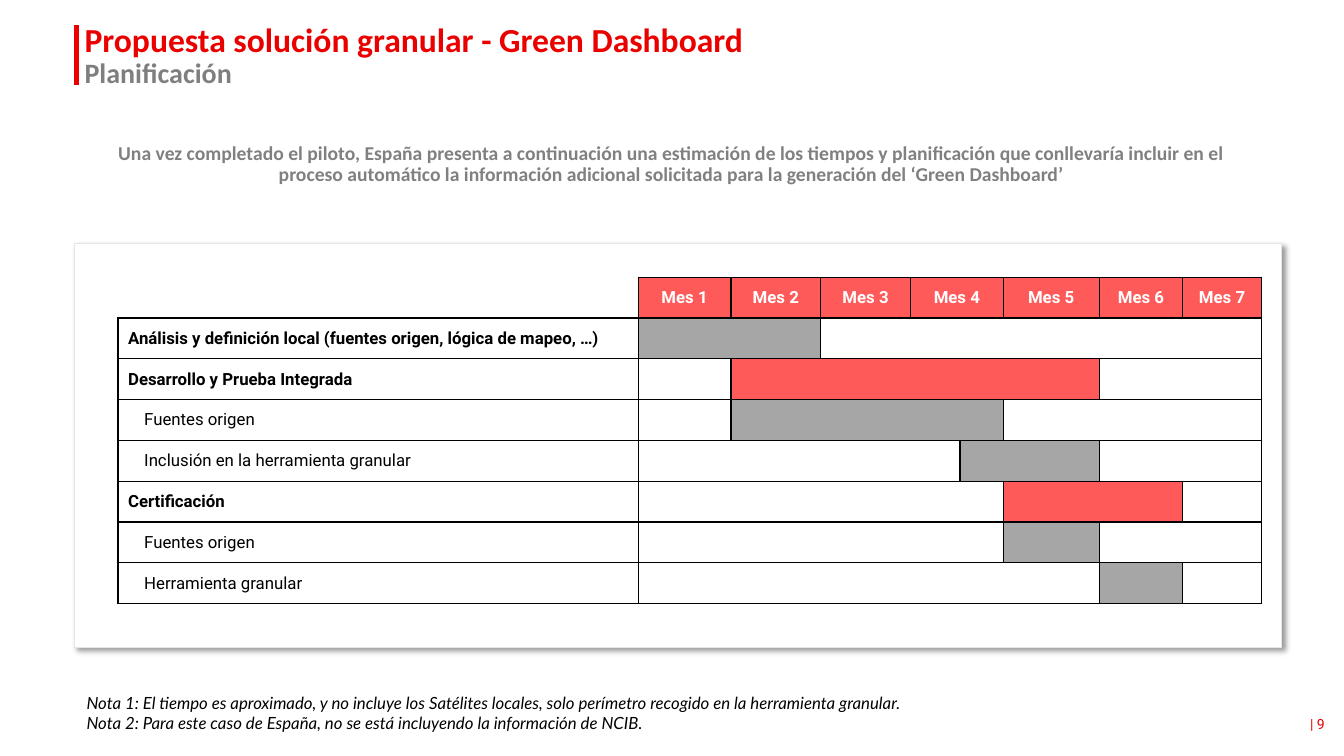
from dataclasses import dataclass
from typing import Optional

from lxml.etree import SubElement
from pptx import Presentation
from pptx.dml.color import RGBColor
from pptx.enum.shapes import MSO_CONNECTOR, MSO_SHAPE
from pptx.enum.text import MSO_ANCHOR, PP_ALIGN
from pptx.oxml.ns import qn
from pptx.util import Inches, Pt


@dataclass(frozen=True)
class Theme:
    red: str = "EB0000"
    coral: str = "FF5A5A"
    bar: str = "A6A6A6"
    grey: str = "808080"
    subtitle: str = "7F7F7F"
    edge: str = "E7E6E6"
    white: str = "FFFFFF"
    black: str = "000000"
    heading_font: str = "Calibri"
    table_font: str = "Roboto"
    note_font: str = "Lato"
    title_size: int = 24
    subtitle_size: int = 20
    intro_size: int = 14
    body_size: int = 12
    page_size: int = 10


@dataclass(frozen=True)
class Box:
    left: float
    top: float
    width: float
    height: float


@dataclass(frozen=True)
class Style:
    font: str
    size: int
    color: str
    bold: bool = False
    italic: bool = False


@dataclass(frozen=True)
class Span:
    first: int
    last: int
    fill: Optional[str] = None
    text: str = ""


@dataclass(frozen=True)
class Task:
    name: str
    spans: tuple[Span, ...]
    sub: bool = False


T = Theme()
WIDTH, HEIGHT = Inches(13.33), Inches(7.5)
COLUMNS = (38.71, 6.9, 6.68, 6.68, 3.68, 3.23, 7.13, 6.23, 5.85)
ROW = 5.4
MONTHS = ((1, 1), (2, 2), (3, 3), (4, 5), (6, 6), (7, 7), (8, 8))
TASKS = (
    Task("Análisis y definición local (fuentes origen, lógica de mapeo, …)",
         (Span(1, 2, T.bar), Span(3, 8))),
    Task("Desarrollo y Prueba Integrada",
         (Span(1, 1), Span(2, 6, T.coral), Span(7, 8))),
    Task("Fuentes origen", (Span(1, 1), Span(2, 5, T.bar), Span(6, 8)), True),
    Task("Inclusión en la herramienta granular",
         (Span(1, 4), Span(5, 6, T.bar), Span(7, 8)), True),
    Task("Certificación", (Span(1, 5), Span(6, 7, T.coral), Span(8, 8))),
    Task("Fuentes origen", (Span(1, 5), Span(6, 6, T.bar), Span(7, 8)), True),
    Task("Herramienta granular",
         (Span(1, 6), Span(7, 7, T.bar), Span(8, 8)), True),
)


def x(share: float) -> int:
    return round(WIDTH * share / 100)


def y(share: float) -> int:
    return round(HEIGHT * share / 100)


def place(box: Box) -> tuple[int, int, int, int]:
    return x(box.left), y(box.top), x(box.width), y(box.height)


def rgb(color: str) -> RGBColor:
    return RGBColor.from_string(color)


def add_run(p, text: str, style: Style) -> None:
    r = p.add_run()
    r.text = text
    r.font.name = style.font
    r.font.size = Pt(style.size)
    r.font.bold = style.bold
    r.font.italic = style.italic
    r.font.color.rgb = rgb(style.color)


def add_text(s, box: Box, paragraphs, align=PP_ALIGN.LEFT, spacing: float = 1.0,
             inset: bool = True, anchor=MSO_ANCHOR.TOP) -> None:
    tf = s.shapes.add_textbox(*place(box)).text_frame
    tf.word_wrap = True
    tf.vertical_anchor = anchor
    if not inset:
        tf.margin_left = tf.margin_right = tf.margin_top = tf.margin_bottom = 0
    for i, lines in enumerate(paragraphs):
        p = tf.add_paragraph() if i else tf.paragraphs[0]
        p.alignment = align
        p.line_spacing = spacing
        for j, (text, style) in enumerate(lines):
            if j:
                p.add_line_break()
            add_run(p, text, style)


def add_card(s, box: Box) -> None:
    sp = s.shapes.add_shape(MSO_SHAPE.RECTANGLE, *place(box))
    sp.fill.solid()
    sp.fill.fore_color.rgb = rgb(T.white)
    sp.line.color.rgb = rgb(T.edge)
    sp.line.width = Pt(0.75)
    sp.shadow.inherit = False
    effects = sp.element.spPr.find(qn("a:effectLst"))
    shadow = SubElement(effects, qn("a:outerShdw"), blurRad=str(Pt(4)),
                        dist=str(Pt(3)), dir=str(45 * 60000), algn="tl", rotWithShape="0")
    color = SubElement(shadow, qn("a:srgbClr"), val=T.black)
    SubElement(color, qn("a:alpha"), val="40000")


def add_title_rule(s, left: float, top: float, bottom: float) -> None:
    line = s.shapes.add_connector(MSO_CONNECTOR.STRAIGHT, x(left), y(top), x(left), y(bottom))
    line.line.color.rgb = rgb(T.red)
    line.line.width = Pt(3)
    SubElement(line.element.spPr, qn("a:effectLst"))


def format_cell(cell, fill: Optional[str], hidden: str = "") -> None:
    cell.vertical_anchor = MSO_ANCHOR.MIDDLE
    cell.margin_top = cell.margin_bottom = 0
    tcPr = cell._tc.get_or_add_tcPr()
    for side in "LRTB":
        ln = SubElement(tcPr, qn(f"a:ln{side}"), w=str(Pt(1)))
        if side in hidden:
            SubElement(ln, qn("a:noFill"))
        else:
            SubElement(SubElement(ln, qn("a:solidFill")), qn("a:srgbClr"), val=T.black)
    if fill:
        cell.fill.solid()
        cell.fill.fore_color.rgb = rgb(fill)
    else:
        cell.fill.background()


def fill_spans(table, row: int, spans: tuple[Span, ...], style: Style) -> None:
    for span in spans:
        for col in range(span.first, span.last + 1):
            format_cell(table.cell(row, col), span.fill)
        cell = table.cell(row, span.first)
        if span.last > span.first:
            cell.merge(table.cell(row, span.last))
        if span.text:
            p = cell.text_frame.paragraphs[0]
            p.alignment = PP_ALIGN.CENTER
            add_run(p, span.text, style)


def add_plan(s, left: float, top: float) -> None:
    rows = len(TASKS) + 1
    box = Box(left, top, sum(COLUMNS), ROW * rows)
    table = s.shapes.add_table(rows, len(COLUMNS), *place(box)).table
    table.first_row = table.horz_banding = False
    for column, share in zip(table.columns, COLUMNS):
        column.width = x(share)
    for row in table.rows:
        row.height = y(ROW)
    header = Style(T.table_font, T.body_size, T.white, bold=True)
    format_cell(table.cell(0, 0), None, hidden="LT")
    months = tuple(Span(a, b, T.coral, f"Mes {n}") for n, (a, b) in enumerate(MONTHS, 1))
    fill_spans(table, 0, months, header)
    for i, task in enumerate(TASKS, 1):
        cell = table.cell(i, 0)
        format_cell(cell, None)
        p = cell.text_frame.paragraphs[0]
        if task.sub:
            p._p.get_or_add_pPr().set("marL", str(x(1.2)))
        add_run(p, task.name, Style(T.table_font, T.body_size, T.black, bold=not task.sub))
        fill_spans(table, i, task.spans, header)


def main() -> None:
    prs = Presentation()
    prs.slide_width, prs.slide_height = WIDTH, HEIGHT
    s = prs.slides.add_slide(prs.slide_layouts[6])
    title = Style(T.heading_font, T.title_size, T.red, bold=True)
    subtitle = Style(T.heading_font, T.subtitle_size, T.subtitle, bold=True)
    intro = Style(T.heading_font, T.intro_size, T.grey, bold=True)
    note = Style(T.note_font, T.body_size, T.black, italic=True)
    page = Style(T.table_font, T.page_size, T.red)

    add_text(s, Box(92.12, 94.67, 6.45, 2.27), [[("| 9", page)]],
             PP_ALIGN.RIGHT, inset=False, anchor=MSO_ANCHOR.MIDDLE)
    add_text(s, Box(7.8, 18.93, 84.32, 5.6), [[(
        "Una vez completado el piloto, España presenta a continuación una estimación de los "
        "tiempos y planificación que conllevaría incluir en el proceso automático la información "
        "adicional solicitada para la generación del ‘Green Dashboard’", intro)]],
        PP_ALIGN.CENTER, 0.9, inset=False)
    add_card(s, Box(5.55, 32.27, 89.8, 53.33))
    add_title_rule(s, 5.7, 3.33, 11.2)
    add_text(s, Box(5.55, 2.4, 88.3, 4.4), [[
        ("Propuesta solución granular - Green Dashboard", title),
        ("Planificación", subtitle)]], spacing=0.9)
    add_text(s, Box(5.7, 90.93, 63.09, 6.67), [
        [("Nota 1: El tiempo es aproximado, y no incluye los Satélites locales, "
          "solo perímetro recogido en la herramienta granular.", note)],
        [("Nota 2: Para este caso de España, no se está incluyendo la información de NCIB.", note)]])
    add_plan(s, 8.78, 36.67)
    prs.save("out.pptx")


if __name__ == "__main__":
    main()
